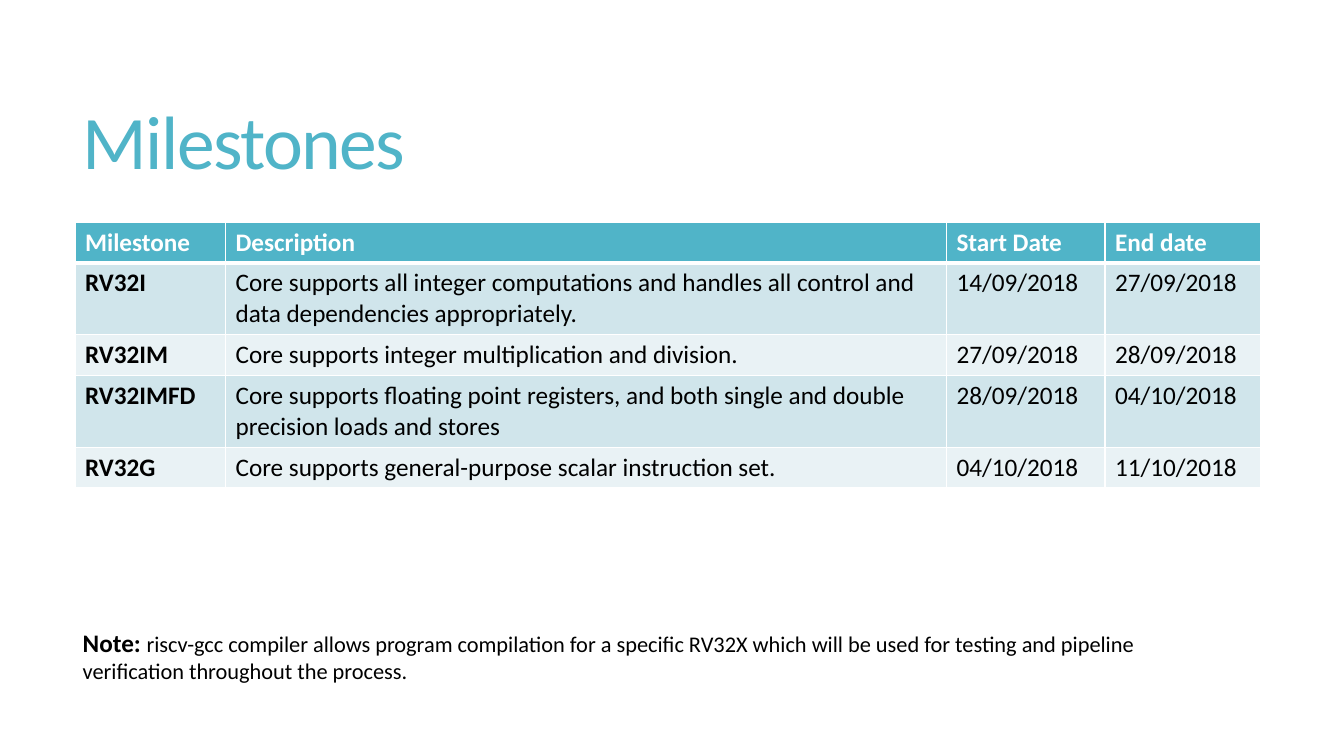
from lxml import etree
from pptx import Presentation
from pptx.dml.color import RGBColor
from pptx.enum import text
from pptx.oxml import ns
from pptx.util import Pt

TEAL = RGBColor(0x50, 0xB4, 0xC8)
BAND_DARK = RGBColor(0xD0, 0xE5, 0xEB)
BAND_LIGHT = RGBColor(0xE9, 0xF2, 0xF5)
WHITE = RGBColor(0xFF, 0xFF, 0xFF)
BLACK = RGBColor(0x00, 0x00, 0x00)


def add_run(paragraph, wording, size, color, bold=False):
    run = paragraph.add_run()
    run.text = wording
    run.font.name = "Calibri"
    run.font.size = Pt(size)
    run.font.bold = bold
    run.font.color.rgb = color
    return run


def add_border(cell, side, width):
    line = etree.SubElement(cell._tc.get_or_add_tcPr(), ns.qn("a:" + side), w=str(Pt(width)))
    fill = etree.SubElement(line, ns.qn("a:solidFill"))
    etree.SubElement(fill, ns.qn("a:srgbClr"), val=str(WHITE))


deck = Presentation()
deck.slide_width, deck.slide_height = Pt(960), Pt(540)
slide = deck.slides.add_slide(deck.slide_layouts[5])

# Title
title = slide.shapes.title
title.left, title.top, title.width, title.height = Pt(52), Pt(39.6), Pt(848), Pt(130.4)
title.text_frame.word_wrap = True
title.text_frame.vertical_anchor = text.MSO_ANCHOR.MIDDLE
heading = title.text_frame.paragraphs[0]
heading.alignment = text.PP_ALIGN.LEFT
heading.line_spacing = 0.85
heading_run = add_run(heading, "Milestones", 54, TEAL)
heading_run.font._element.set("spc", "-120")

# Milestone table
milestones = [
    ("Milestone", "Description", "Start Date", "End date"),
    ("RV32I", "Core supports all integer computations and handles all control and "
     "data dependencies appropriately.\u00a0", "14/09/2018", "27/09/2018"),
    ("RV32IM", "Core supports integer multiplication and division.",
     "27/09/2018", "28/09/2018"),
    ("RV32IMFD", "Core supports floating point registers, and both single and double "
     "precision loads and stores", "28/09/2018", "04/10/2018"),
    ("RV32G", "Core supports general-purpose scalar instruction set.",
     "04/10/2018", "11/10/2018"),
]
column_widths = [107.5, 515, 113.2, 111]
row_heights = [29.2, 51.2, 29.2, 51.2, 29.2]
schedule = slide.shapes.add_table(
    len(milestones), len(column_widths), Pt(53.6), Pt(158.6),
    Pt(sum(column_widths)), Pt(sum(row_heights))).table
for column, width in zip(schedule.columns, column_widths):
    column.width = Pt(width)

for r, milestone in enumerate(milestones):
    schedule.rows[r].height = Pt(row_heights[r])
    header = r == 0
    band = TEAL if header else BAND_DARK if r % 2 else BAND_LIGHT
    for c, wording in enumerate(milestone):
        cell = schedule.cell(r, c)
        for side in ("lnL", "lnR", "lnT", "lnB"):
            under_header = (header and side == "lnB") or (r == 1 and side == "lnT")
            add_border(cell, side, 3 if under_header else 1)
        cell.fill.solid()
        cell.fill.fore_color.rgb = band
        add_run(cell.text_frame.paragraphs[0], wording, 18,
                WHITE if header else BLACK, bold=header or c == 0)

# Note
note = slide.shapes.add_textbox(Pt(52), Pt(444.5), Pt(807), Pt(48)).text_frame
note.word_wrap = True
note.auto_size = text.MSO_AUTO_SIZE.SHAPE_TO_FIT_TEXT
remark = note.paragraphs[0]
add_run(remark, "Note: ", 18, BLACK, bold=True)
add_run(remark, "riscv-gcc compiler allows program compilation for a specific RV32X which "
        "will be used for testing and pipeline verification throughout\u00a0the process.\u00a0",
        16, BLACK)

deck.save("out.pptx")
